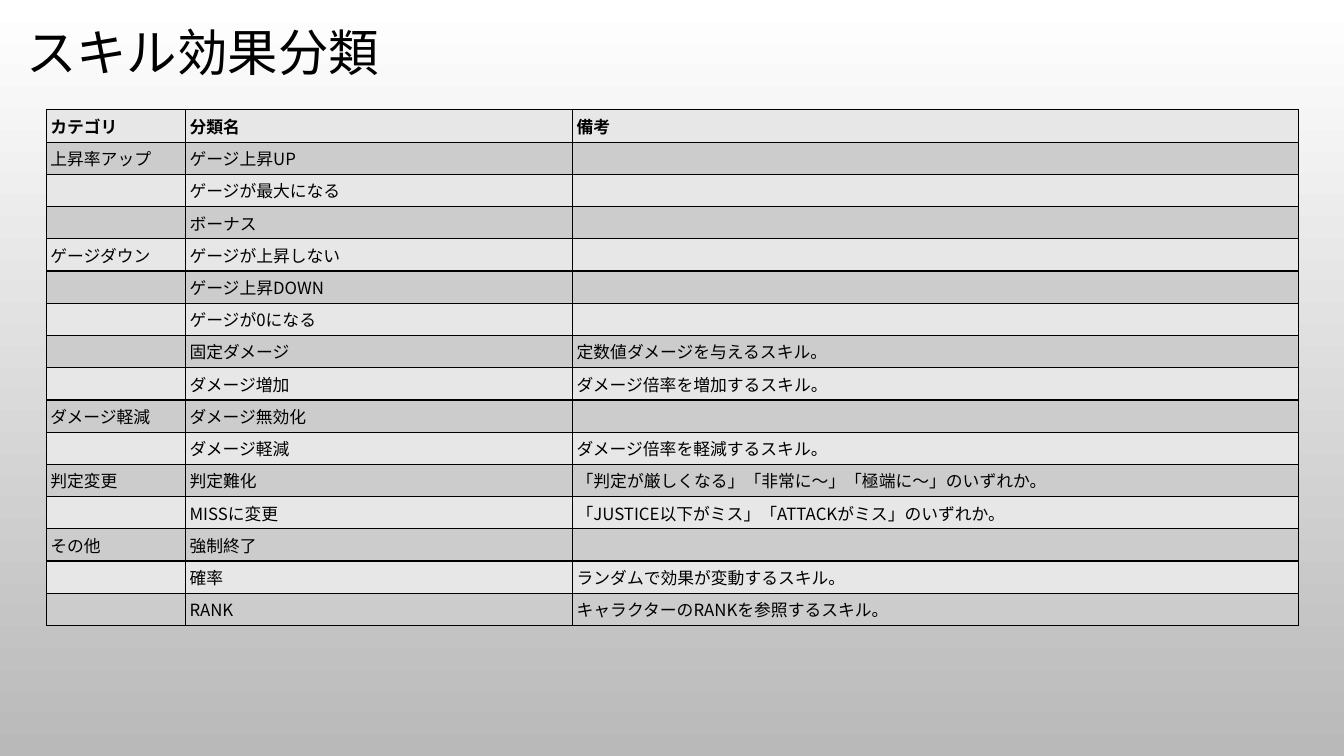
from pptx import Presentation
from pptx.dml.color import RGBColor
from pptx.enum.text import MSO_ANCHOR
from pptx.oxml.ns import qn
from pptx.util import Inches, Pt
from lxml.etree import SubElement

FONT = "Noto Sans CJK JP"
BLACK, LIGHT, DARK = "000000", "E7E7E7", "CCCCCC"
SHADES = ("FFFFFF", "B9B9B9")
TITLE = "スキル効果分類"
HEAD = ("カテゴリ", "分類名", "備考")
GROUPS = [
    ("上昇率アップ", [("ゲージ上昇UP", ""), ("ゲージが最大になる", ""), ("ボーナス", "")]),
    ("ゲージダウン", [
        ("ゲージが上昇しない", ""),
        ("ゲージ上昇DOWN", ""),
        ("ゲージが0になる", ""),
        ("固定ダメージ", "定数値ダメージを与えるスキル。"),
        ("ダメージ増加", "ダメージ倍率を増加するスキル。"),
    ]),
    ("ダメージ軽減", [
        ("ダメージ無効化", ""),
        ("ダメージ軽減", "ダメージ倍率を軽減するスキル。"),
    ]),
    ("判定変更", [
        ("判定難化", "「判定が厳しくなる」「非常に~」「極端に~」のいずれか。".replace("~", "～")),
        ("MISSに変更", "「JUSTICE以下がミス」「ATTACKがミス」のいずれか。"),
    ]),
    ("その他", [
        ("強制終了", ""),
        ("確率", "ランダムで効果が変動するスキル。"),
        ("RANK", "キャラクターのRANKを参照するスキル。"),
    ]),
]
WIDTHS = (1.38, 3.84, 7.2)
LEFT, TOP, HIGH, INSET = 0.46, 1.09, 0.32, 0.04


def paint(target, color):
    """Set a colour object from a hex string."""
    target.rgb = RGBColor.from_string(color)


def write(para, text, size, bold=False):
    """Add one run in the slide font."""
    run = para.add_run()
    run.text = text
    run.font.size, run.font.bold, run.font.name = Pt(size), bold, FONT
    paint(run.font.color, BLACK)
    SubElement(run.font._element, qn("a:ea"), typeface=FONT)


def border(cell):
    """Draw a thin black line on all four sides of a cell."""
    props = cell._tc.get_or_add_tcPr()
    for spot, side in enumerate("LRTB"):
        line = SubElement(props, qn("a:ln" + side), w=str(Pt(1)))
        fill = SubElement(line, qn("a:solidFill"))
        SubElement(fill, qn("a:srgbClr"), val=BLACK)
        props.insert(spot, line)


def fill_cell(cell, text, color, bold):
    """Style one table cell and write its text."""
    cell.margin_left = cell.margin_right = Inches(INSET)
    cell.margin_top = cell.margin_bottom = Inches(INSET)
    cell.fill.solid()
    paint(cell.fill.fore_color, color)
    border(cell)
    para = cell.text_frame.paragraphs[0]
    if text:
        write(para, text, 12, bold)
    else:
        SubElement(para._p, qn("a:endParaRPr"), sz="1200")


def add_title(slide):
    """Place the slide title."""
    box = slide.shapes.add_textbox(Inches(0.16), Inches(0.17), Inches(13.05), Inches(0.75))
    frame = box.text_frame
    frame.word_wrap = True
    frame.vertical_anchor = MSO_ANCHOR.MIDDLE
    para = frame.paragraphs[0]
    para.line_spacing = 0.9
    write(para, TITLE, 36)


def add_grid(slide):
    """Place the table, naming each category on its first row only."""
    rows = [HEAD]
    for group, items in GROUPS:
        for i, (name, note) in enumerate(items):
            rows.append(("" if i else group, name, note))
    table = slide.shapes.add_table(
        len(rows), len(WIDTHS), Inches(LEFT), Inches(TOP),
        Inches(sum(WIDTHS)), Inches(HIGH * len(rows))).table
    table.first_row = table.horz_banding = False
    for col, width in zip(table.columns, WIDTHS):
        col.width = Inches(width)
    for r, row in enumerate(rows):
        table.rows[r].height = Inches(HIGH)
        for c, text in enumerate(row):
            fill_cell(table.cell(r, c), text, DARK if r % 2 else LIGHT, r == 0)


deck = Presentation()
deck.slide_width, deck.slide_height = Inches(13.33), Inches(7.5)
slide = deck.slides.add_slide(deck.slide_layouts[6])
back = slide.background.fill
back.gradient()
back.gradient_angle = 270
for stop, shade in zip(back.gradient_stops, SHADES):
    paint(stop.color, shade)
add_title(slide)
add_grid(slide)
deck.save("out.pptx")
